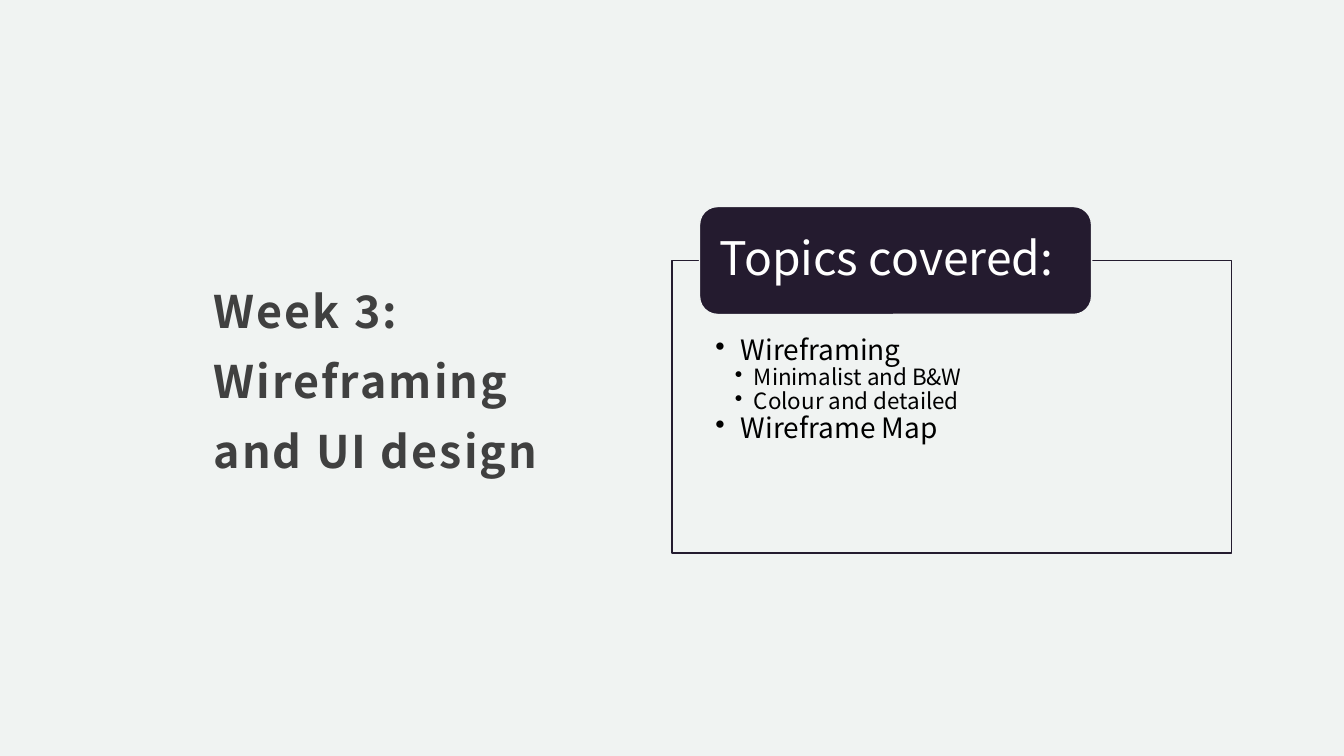
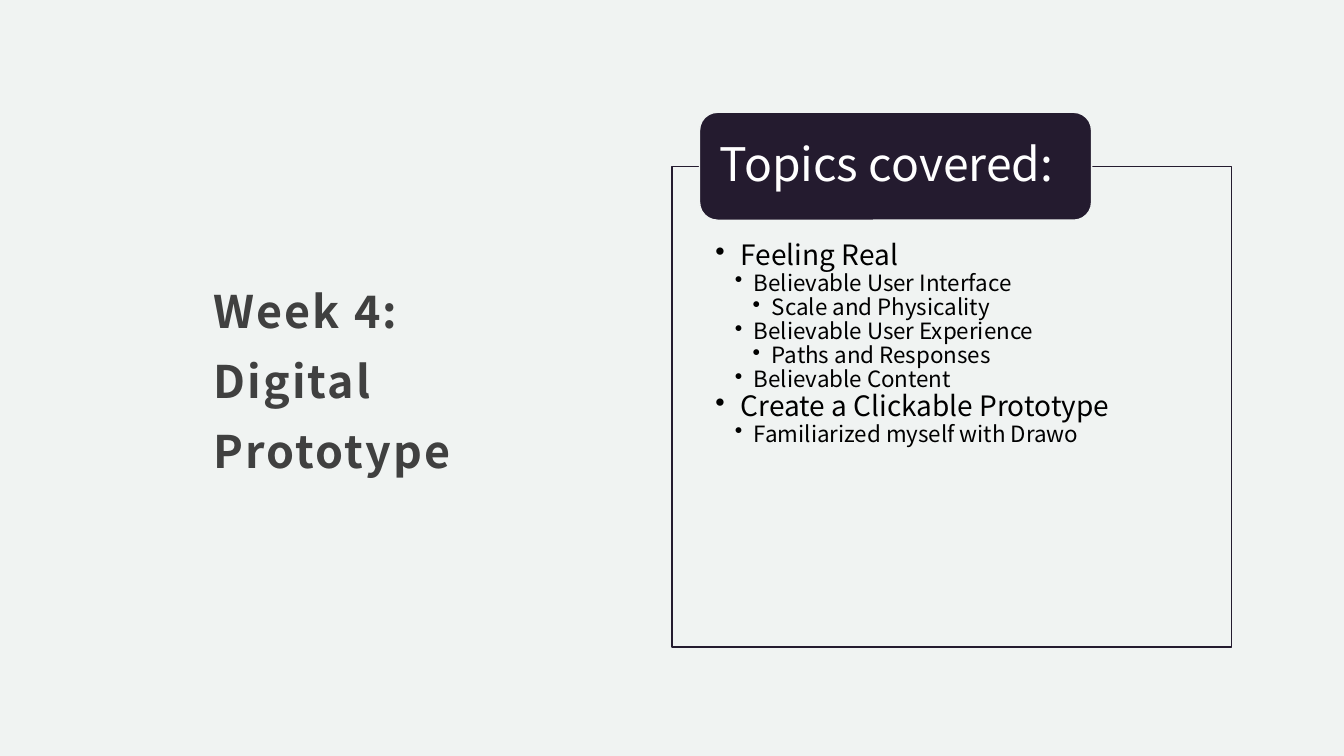
from lxml.etree import SubElement
from pptx import Presentation
from pptx.dml.color import RGBColor
from pptx.enum.shapes import MSO_SHAPE as Shape
from pptx.enum.text import MSO_ANCHOR as Anchor, PP_ALIGN as Align
from pptx.oxml.ns import qn
from pptx.util import Cm, Pt

FONT = "Noto Sans CJK JP"
PAPER = RGBColor(0xF0, 0xF3, 0xF2)
PLUM = RGBColor(0x24, 0x1B, 0x2F)
GREY = RGBColor(0x40, 0x40, 0x40)
BLACK = RGBColor(0, 0, 0)
WHITE = RGBColor(0xFF, 0xFF, 0xFF)

# Outline level: (text indent in cm, bullet hang in cm, size in points)
LEVELS = {1: (0.64, 0.64, 20), 2: (0.97, 0.48, 16), 3: (1.42, 0.48, 16)}

PANEL_LEFT, PANEL_WIDTH, PANEL_MIDDLE = 16.94, 14.1, 10.25
TAB_LEFT, TAB_WIDTH, TAB_HEIGHT = 17.63, 9.88, 2.72

# Title, panel height in cm, outline of (level, text)
WEEKS = [
    ("Week 3: Wireframing and UI design", 7.37, [
        (1, "Wireframing"),
        (2, "Minimalist and B&W"),
        (2, "Colour and detailed"),
        (1, "Wireframe Map"),
    ]),
    ("Week 4: Digital Prototype", 12.12, [
        (1, "Feeling Real"),
        (2, "Believable User Interface"),
        (3, "Scale and Physicality"),
        (2, "Believable User Experience"),
        (3, "Paths and Responses"),
        (2, "Believable Content"),
        (1, "Create a Clickable Prototype"),
        (2, "Familiarized myself with Drawo"),
    ]),
]


def write(paragraph, text, *, size, color, bold=False, line_spacing=0.9,
          tracking=0):
    """Add text to a paragraph; tracking is in points."""
    paragraph.alignment = Align.LEFT
    paragraph.line_spacing = line_spacing
    run = paragraph.add_run()
    run.text = text
    font = run.font
    font.name, font.size, font.bold = FONT, Pt(size), bold
    font.color.rgb = color
    if tracking:
        run._r.get_or_add_rPr().set("spc", str(round(tracking * 100)))


def add_bullet(paragraph, indent, hang):
    properties = paragraph._p.get_or_add_pPr()
    properties.set("marL", str(Cm(indent)))
    properties.set("indent", str(-Cm(hang)))
    SubElement(properties, qn("a:buChar"), char="•")


def set_frame(frame, anchor, insets):
    """Wrap the text; insets are left, top, right, bottom in cm."""
    frame.word_wrap = True
    frame.vertical_anchor = anchor
    (frame.margin_left, frame.margin_top,
     frame.margin_right, frame.margin_bottom) = map(Cm, insets)


class Deck:
    def __init__(self):
        self.presentation = Presentation()
        self.presentation.slide_width = Cm(33.87)
        self.presentation.slide_height = Cm(19.05)
        background = self.presentation.slide_master.background.fill
        background.solid()
        background.fore_color.rgb = PAPER
        self.slide = None

    def add_slide(self):
        blank = self.presentation.slide_layouts[6]
        self.slide = self.presentation.slides.add_slide(blank)

    def add_title(self, text):
        box = self.slide.shapes.add_textbox(
            Cm(5.08), Cm(5.28), Cm(9.2), Cm(8.15))
        set_frame(box.text_frame, Anchor.MIDDLE, (0.3, 0.3, 0.3, 0.25))
        write(box.text_frame.paragraphs[0], text, size=32, color=GREY,
              bold=True, line_spacing=1.3, tracking=1.5)

    def add_box(self, kind, left, top, width, height, fill, line):
        shape = self.slide.shapes.add_shape(
            kind, Cm(left), Cm(top), Cm(width), Cm(height))
        shape.shadow.inherit = False
        shape.fill.solid()
        shape.fill.fore_color.rgb = fill
        shape.line.color.rgb = line
        shape.line.width = Pt(1)
        return shape

    def add_panel(self, top, height, outline):
        panel = self.add_box(Shape.RECTANGLE, PANEL_LEFT, top, PANEL_WIDTH,
                             height, PAPER, PLUM)
        frame = panel.text_frame
        set_frame(frame, Anchor.TOP, (1.09, 1.9, 1.09, 0.3))
        for index, (level, text) in enumerate(outline):
            paragraph = frame.add_paragraph() if index else frame.paragraphs[0]
            indent, hang, size = LEVELS[level]
            paragraph.level = level
            write(paragraph, text, size=size, color=BLACK)
            add_bullet(paragraph, indent, hang)

    def add_tab(self, middle, text):
        """Add the heading, centred on the height given as middle."""
        tab = self.add_box(Shape.ROUNDED_RECTANGLE, TAB_LEFT,
                           middle - TAB_HEIGHT / 2, TAB_WIDTH, TAB_HEIGHT,
                           PLUM, PAPER)
        set_frame(tab.text_frame, Anchor.MIDDLE, (0.38, 0, 0.38, 0))
        write(tab.text_frame.paragraphs[0], text, size=33, color=WHITE)


def main():
    deck = Deck()
    for title, height, outline in WEEKS:
        panel_top = PANEL_MIDDLE - height / 2
        deck.add_slide()
        deck.add_title(title)
        deck.add_panel(panel_top, height, outline)
        deck.add_tab(panel_top, "Topics covered:")
    deck.presentation.save("out.pptx")


if __name__ == "__main__":
    main()
